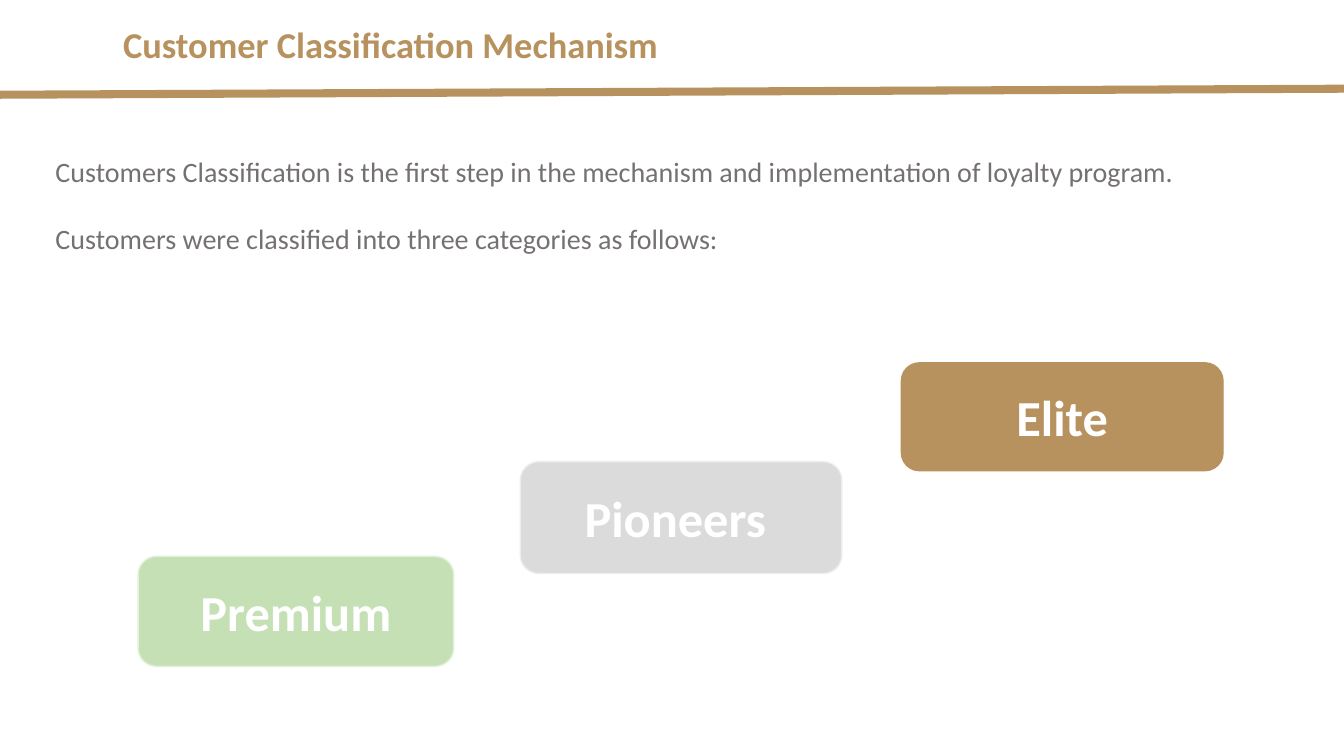
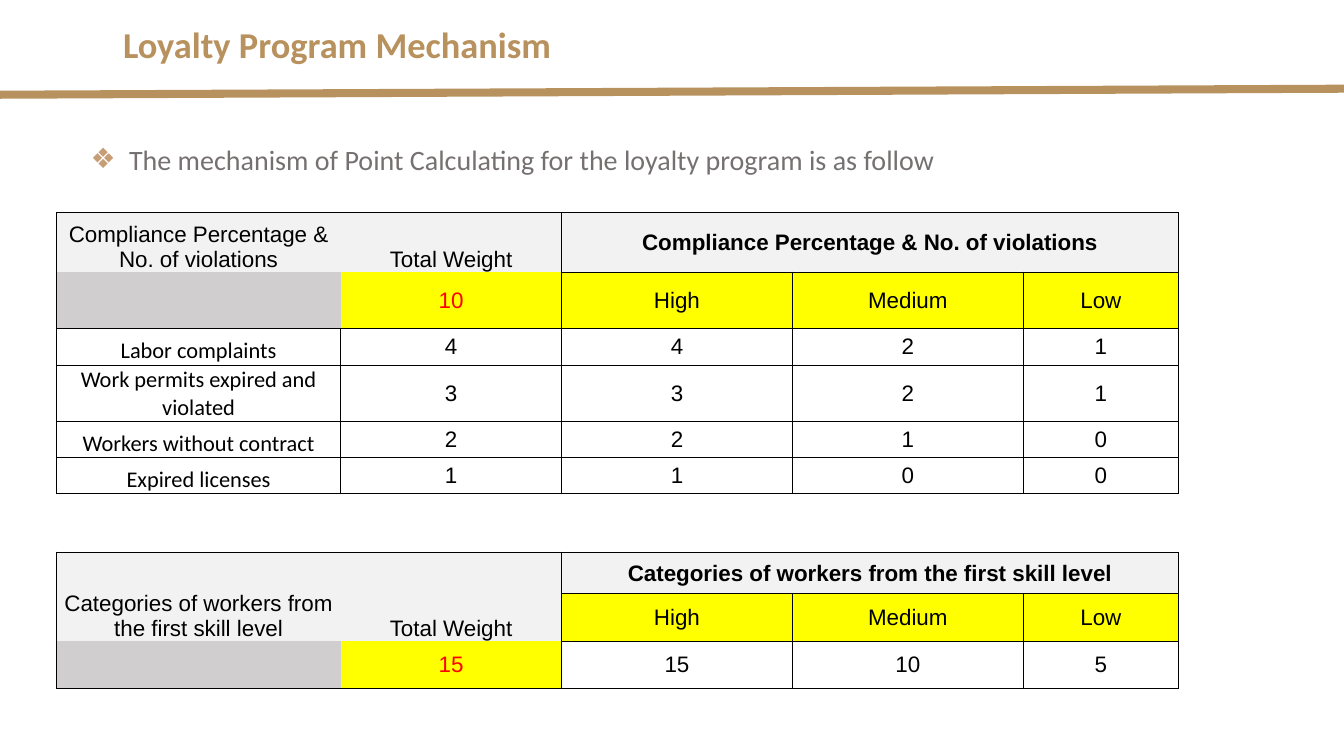
from dataclasses import dataclass

from lxml.etree import SubElement
from pptx import Presentation
from pptx.dml.color import RGBColor
from pptx.enum.shapes import MSO_CONNECTOR, MSO_SHAPE
from pptx.enum.text import MSO_ANCHOR as Anchor, MSO_AUTO_SIZE as AutoSize, PP_ALIGN as Align
from pptx.oxml import parse_xml
from pptx.oxml.ns import nsdecls, qn
from pptx.util import Inches, Pt

GOLD = RGBColor(0xB8, 0x92, 0x5E)
BULLET_GOLD = RGBColor(0xC6, 0x9D, 0x74)
TEXT_GREY = RGBColor(0x76, 0x71, 0x71)
WHITE = RGBColor(0xFF, 0xFF, 0xFF)
BLACK = RGBColor(0x00, 0x00, 0x00)
RED = RGBColor(0xFF, 0x00, 0x00)
YELLOW = RGBColor(0xFF, 0xFF, 0x00)
HEADER_GREY = RGBColor(0xF2, 0xF2, 0xF2)
EMPTY_GREY = RGBColor(0xD0, 0xCE, 0xCE)
SILVER = RGBColor(0xDB, 0xDB, 0xDB)
SILVER_EDGE = RGBColor(0xED, 0xED, 0xED)
GREEN = RGBColor(0xC5, 0xE0, 0xB4)
GREEN_EDGE = RGBColor(0xE2, 0xF0, 0xD9)

HEADING_FONT, TABLE_FONT = "Calibri", "Arial"
THICK, THIN = Pt(1), Pt(0.5)

CATEGORIES = [
    ("Elite", (8.94, 3.6, 3.19, 1.07), GOLD, GOLD),
    ("Pioneers ", (5.16, 4.58, 3.19, 1.11), SILVER, SILVER_EDGE),
    ("Premium", (1.37, 5.52, 3.13, 1.09), GREEN, GREEN_EDGE),
]

COMPLIANCE = "Compliance Percentage & No. of violations"
SKILL = "Categories of workers from the first skill level"
LEVELS = ["High", "Medium", "Low"]
POINTS = [
    [COMPLIANCE, "Total Weight", COMPLIANCE, "", ""],
    ["", "10", *LEVELS],
    ["Labor complaints", "4", "4", "2", "1"],
    ["Work permits expired and violated", "3", "3", "2", "1"],
    ["Workers without contract", "2", "2", "1", "0"],
    ["Expired licenses", "1", "1", "0", "0"],
    [""] * 5,
    [""] * 5,
    [SKILL, "Total Weight", SKILL, "", ""],
    ["", "", *LEVELS],
    ["", "15", "15", "10", "5"],
]
COLUMN_WIDTHS = [2.82, 2.19, 2.29, 2.29, 1.54]
ROW_HEIGHTS = [0.59, 0.56, 0.36, 0.56, 0.36, 0.36, 0.29, 0.29, 0.41, 0.47, 0.47]


@dataclass
class Block:
    """Rows of one criterion; its key (name and weight) ends before row `body`."""
    first: int
    body: int
    end: int

    def in_key(self, row, column):
        """Tell whether a cell belongs to the borderless key area."""
        return column < 2 and row < self.body

    def fill(self, row, column):
        """Return the fill colour of a cell, or None."""
        key = self.in_key(row, column)
        if row == self.first or (key and row < self.body - 1):
            return HEADER_GREY
        if key:
            return YELLOW if column else EMPTY_GREY
        return YELLOW if row == self.first + 1 else None

    def borders(self, row, column):
        """Return the left, right, top and bottom border widths of a cell."""
        key = self.in_key(row, column)

        def vertical(edge):
            if key and edge == 1:
                return None
            return THICK if edge in (0, 2, 5) or row == self.first else THIN

        def horizontal(edge):
            if key and edge not in (self.first, self.body):
                return None
            heavy = (self.first, self.first + 1, self.body, self.end)
            return THICK if edge in heavy else THIN

        return (vertical(column), vertical(column + 1),
                horizontal(row), horizontal(row + 1))


BLOCKS = [Block(0, 2, 6), Block(8, 11, 11)]


def place(shape, left, top, width, height):
    """Move and size a shape, in inches."""
    shape.left, shape.top = Inches(left), Inches(top)
    shape.width, shape.height = Inches(width), Inches(height)


def style(para, size, color, bold=False, font=HEADING_FONT, align=Align.LEFT):
    """Set the font and alignment of a paragraph."""
    para.alignment = align
    para.font.name, para.font.size = font, Pt(size)
    para.font.bold = bold
    para.font.color.rgb = color


def prepare_frame(frame):
    """Make a placeholder's text start at the top without shrinking."""
    frame.word_wrap = True
    frame.auto_size = AutoSize.NONE
    frame.vertical_anchor = Anchor.TOP


def add_page(deck, title):
    """Add a slide with the shared title style and gold rule."""
    page = deck.slides.add_slide(deck.slide_layouts[1])
    heading = page.shapes.title
    place(heading, 1.12, 0.17, 5.65, 0.54)
    heading.text_frame.text = title
    prepare_frame(heading.text_frame)
    style(heading.text_frame.paragraphs[0], 26, GOLD, bold=True)

    rule = page.shapes.add_connector(MSO_CONNECTOR.STRAIGHT, Inches(0), Inches(0.94),
                                     Inches(13.33), Inches(0.88))
    rule.line.color.rgb = GOLD
    rule.line.width = Pt(5.75)
    SubElement(rule.element.spPr, qn("a:effectLst"))
    return page


def set_bullet(para, bullet):
    """Give a paragraph a gold bullet, or none."""
    properties = para._p.get_or_add_pPr()
    indent = Inches(0.38) if bullet else 0
    properties.set("marL", str(indent))
    properties.set("indent", str(-indent))
    if bullet:
        color = SubElement(properties, qn("a:buClr"))
        SubElement(color, qn("a:srgbClr"), val=str(BULLET_GOLD))
        SubElement(properties, qn("a:buChar"), char=bullet)
    else:
        SubElement(properties, qn("a:buNone"))


def fill_body(page, lines, position, bullet=None):
    """Write double-spaced lines in the body placeholder."""
    body = page.placeholders[1]
    place(body, *position)
    body.text_frame.text = "\n".join(lines)
    prepare_frame(body.text_frame)
    for para in body.text_frame.paragraphs:
        set_bullet(para, bullet)
        para.line_spacing = 2.0
        para.space_before = Pt(0)
        style(para, 20, TEXT_GREY)


def add_category(page, name, position, fill, edge):
    """Add a rounded box that names a customer category."""
    box = page.shapes.add_shape(MSO_SHAPE.ROUNDED_RECTANGLE, *map(Inches, position))
    box.shadow.inherit = False
    box.fill.solid()
    box.fill.fore_color.rgb = fill
    box.line.color.rgb = edge
    box.line.width = Pt(1)
    frame = box.text_frame
    frame.text = name
    frame.vertical_anchor = Anchor.MIDDLE
    style(frame.paragraphs[0], 36, WHITE, bold=True, align=Align.CENTER)


def set_borders(cell, widths):
    """Draw the left, right, top and bottom borders; None hides one."""
    properties = cell._tc.get_or_add_tcPr()
    for index, (side, width) in enumerate(zip("LRTB", widths)):
        paint = (f'<a:solidFill><a:srgbClr val="{BLACK}"/></a:solidFill>'
                 if width else "<a:noFill/>")
        border = f'<a:ln{side} {nsdecls("a")} w="{width or 0}">{paint}</a:ln{side}>'
        properties.insert(index, parse_xml(border))


def format_cell(cell, text, row, column):
    """Write one table cell and style it by its place in its block."""
    block = next((b for b in BLOCKS if b.first <= row < b.end), None)
    cell.text = text
    cell.margin_left = cell.margin_right = cell.margin_top = Inches(0.01)
    cell.margin_bottom = 0
    title = block is not None and row == block.first
    key = block is not None and block.in_key(row, column)
    low = column == 0 or (title and column == 1)
    cell.vertical_anchor = Anchor.BOTTOM if low else Anchor.MIDDLE
    row_label = column == 0 and not key
    style(cell.text_frame.paragraphs[0], 16,
          RED if key and row == block.body - 1 else BLACK,
          bold=title and column >= 2,
          font=HEADING_FONT if row_label else TABLE_FONT, align=Align.CENTER)
    fill = block.fill(row, column) if block else None
    if fill is None:
        cell.fill.background()
    else:
        cell.fill.solid()
        cell.fill.fore_color.rgb = fill
    set_borders(cell, block.borders(row, column) if block else [None] * 4)


def add_points_table(page):
    """Add the table of weights and points."""
    frame = page.shapes.add_table(
        len(POINTS), len(COLUMN_WIDTHS), Inches(0.56), Inches(2.11),
        Inches(sum(COLUMN_WIDTHS)), Inches(sum(ROW_HEIGHTS)))
    table = frame.table
    table.first_row = table.horz_banding = False
    for column, width in zip(table.columns, COLUMN_WIDTHS):
        column.width = Inches(width)
    for row, height in zip(table.rows, ROW_HEIGHTS):
        row.height = Inches(height)
    for row, texts in enumerate(POINTS):
        for column, text in enumerate(texts):
            format_cell(table.cell(row, column), text, row, column)
    for block in BLOCKS:
        table.cell(block.first, 2).merge(table.cell(block.first, 4))
        if block.body - block.first > 2:
            for column in range(2):
                table.cell(block.first, column).merge(table.cell(block.body - 2, column))


def main():
    """Build the two slides and save the deck."""
    deck = Presentation()
    deck.slide_width, deck.slide_height = Inches(13.33), Inches(7.5)

    page = add_page(deck, "Customer Classification Mechanism ")
    fill_body(page, [
        "Customers Classification is the first step in the mechanism and "
        "implementation of loyalty program.",
        "Customers were classified into three categories as follows:",
    ], (0.45, 1.15, 12.12, 1.45))
    for category in CATEGORIES:
        add_category(page, *category)

    page = add_page(deck, "Loyalty Program Mechanism ")
    fill_body(page, ["The mechanism of Point Calculating for the loyalty program is as follow"],
              (0.8, 1.03, 11.27, 0.68), bullet="\u2756")
    add_points_table(page)

    deck.save("out.pptx")


if __name__ == "__main__":
    main()
